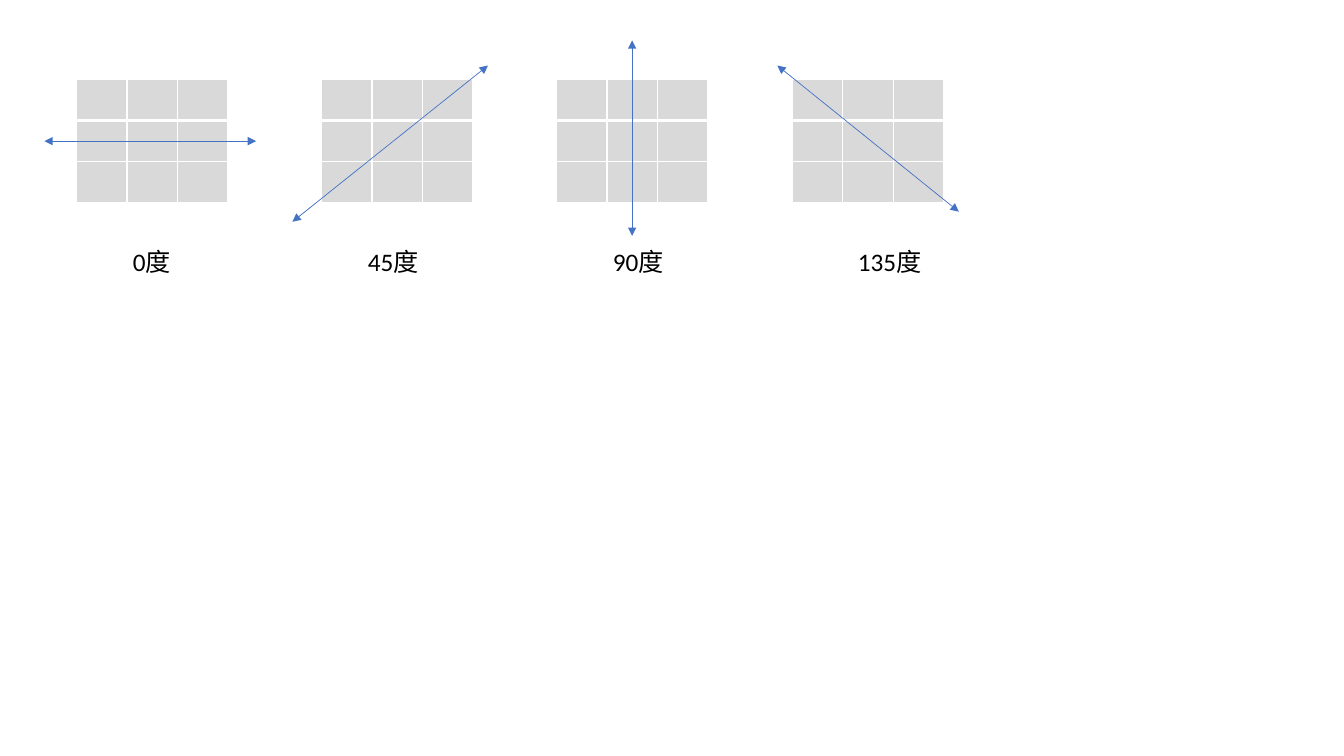
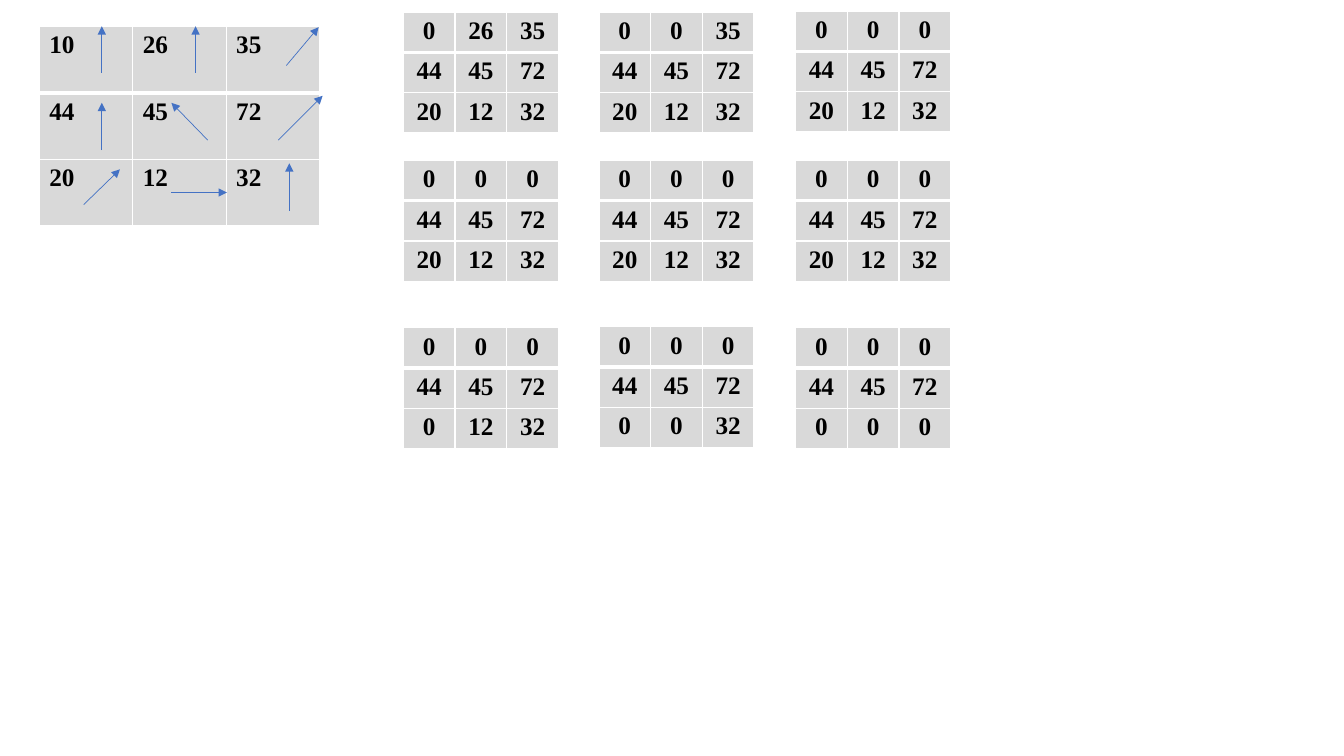
from lxml.etree import SubElement
from pptx import Presentation
from pptx.dml.color import RGBColor
from pptx.enum.shapes import MSO_CONNECTOR
from pptx.enum.text import PP_ALIGN
from pptx.oxml.ns import qn
from pptx.util import Inches, Pt

COLOURS = {"cell": "D9D9D9", "border": "FFFFFF", "arrow": "4472C4", "text": "000000"}
GRID_SIZE = 3

ANGLES = [
    {"label": "0度", "grid_left": 0.76, "label_left": 1.22, "label_width": 0.65,
     "arrow": (0.44, 1.4, 2.54, 1.4)},
    {"label": "45度", "grid_left": 3.19, "label_left": 3.55, "label_width": 0.71,
     "arrow": (4.84, 0.65, 2.9, 2.2)},
    {"label": "90度", "grid_left": 5.52, "label_left": 5.98, "label_width": 0.71,
     "arrow": (6.27, 0.4, 6.27, 2.34)},
    {"label": "135度", "grid_left": 7.86, "label_left": 8.41, "label_width": 0.84,
     "arrow": (7.71, 0.65, 9.51, 2.1)},
]

MAGNITUDES = [[10, 26, 35], [44, 45, 72], [20, 12, 32]]
KEPT_ROW = 1
GRADIENT_ARROWS = [
    (1.01, 0.72, 1.01, 0.26),
    (1.01, 1.49, 1.01, 1.02),
    (1.94, 0.72, 1.94, 0.26),
    (2.84, 0.65, 3.16, 0.27),
    (2.06, 1.39, 1.7, 1.02),
    (2.76, 1.39, 3.2, 0.95),
    (0.83, 2.03, 1.19, 1.68),
    (1.7, 1.91, 2.25, 1.91),
    (2.87, 2.09, 2.87, 1.62),
]
STEP_LEFTS = [4, 5.94, 7.89]
STEP_TOPS = [[0.12, 0.12, 0.11], [1.59, 1.59, 1.59], [3.25, 3.24, 3.25]]


def colour(name):
    return RGBColor.from_string(COLOURS[name])


def write_text(text_frame, text, font="Calibri", size=18, bold=False,
               align=PP_ALIGN.LEFT):
    paragraph = text_frame.paragraphs[0]
    paragraph.alignment = align
    run = paragraph.add_run()
    run.text = text
    run.font.name = font
    run.font.size = Pt(size)
    run.font.bold = bold
    run.font.color.rgb = colour("text")


def add_label(slide, text, left, top, width, height):
    text_box = slide.shapes.add_textbox(
        Inches(left), Inches(top), Inches(width), Inches(height))
    text_box.text_frame.word_wrap = True
    write_text(text_box.text_frame, text)


def add_arrow(slide, ends, both_heads=False):
    connector = slide.shapes.add_connector(
        MSO_CONNECTOR.STRAIGHT, *(Inches(value) for value in ends))
    connector.line.color.rgb = colour("arrow")
    connector.line.width = Pt(0.5)
    properties = connector.element.spPr
    line = properties.find(qn("a:ln"))
    for tag in ("a:headEnd", "a:tailEnd") if both_heads else ("a:tailEnd",):
        SubElement(line, qn(tag), type="triangle")
    SubElement(properties, qn("a:effectLst"))


def set_borders(cell, row):
    properties = cell._tc.get_or_add_tcPr()
    widths = {"L": 1, "R": 1, "T": 3 if row == 1 else 1, "B": 3 if row == 0 else 1}
    for side, width in widths.items():
        line = SubElement(properties, qn(f"a:ln{side}"), w=str(Pt(width)))
        fill = SubElement(line, qn("a:solidFill"))
        SubElement(fill, qn("a:srgbClr"), val=COLOURS["border"])


def add_grid(slide, left, top, width, height, values=None, align=PP_ALIGN.LEFT):
    table = slide.shapes.add_table(
        GRID_SIZE, GRID_SIZE, Inches(left), Inches(top),
        Inches(width), Inches(height)).table
    for row in range(GRID_SIZE):
        for column in range(GRID_SIZE):
            cell = table.cell(row, column)
            set_borders(cell, row)
            cell.fill.solid()
            cell.fill.fore_color.rgb = colour("cell")
            if values:
                write_text(cell.text_frame, str(values[row][column]),
                           font="Times New Roman", bold=True, align=align)


def suppressed(step):
    return [
        [0 if row != KEPT_ROW and row * GRID_SIZE + column <= step else value
         for column, value in enumerate(values)]
        for row, values in enumerate(MAGNITUDES)
    ]


def build_angles(slide):
    for angle in ANGLES:
        add_grid(slide, angle["grid_left"], 0.79, 1.5, 1.22)
    for angle in ANGLES:
        add_arrow(slide, angle["arrow"], both_heads=True)
        add_label(slide, angle["label"], angle["label_left"], 2.39,
                  angle["label_width"], 0.4)


def build_suppression(slide):
    add_grid(slide, 0.39, 0.26, 2.78, 1.98, MAGNITUDES)
    for ends in GRADIENT_ARROWS:
        add_arrow(slide, ends)
    for row, tops in enumerate(STEP_TOPS):
        for column, (left, top) in enumerate(zip(STEP_LEFTS, tops)):
            add_grid(slide, left, top, 1.54, 1.2,
                     suppressed(row * GRID_SIZE + column), PP_ALIGN.CENTER)


def main():
    presentation = Presentation()
    presentation.slide_width = Inches(13.33)
    presentation.slide_height = Inches(7.5)
    blank_layout = presentation.slide_layouts[6]
    for build in (build_angles, build_suppression):
        build(presentation.slides.add_slide(blank_layout))
    presentation.save("out.pptx")


main()
